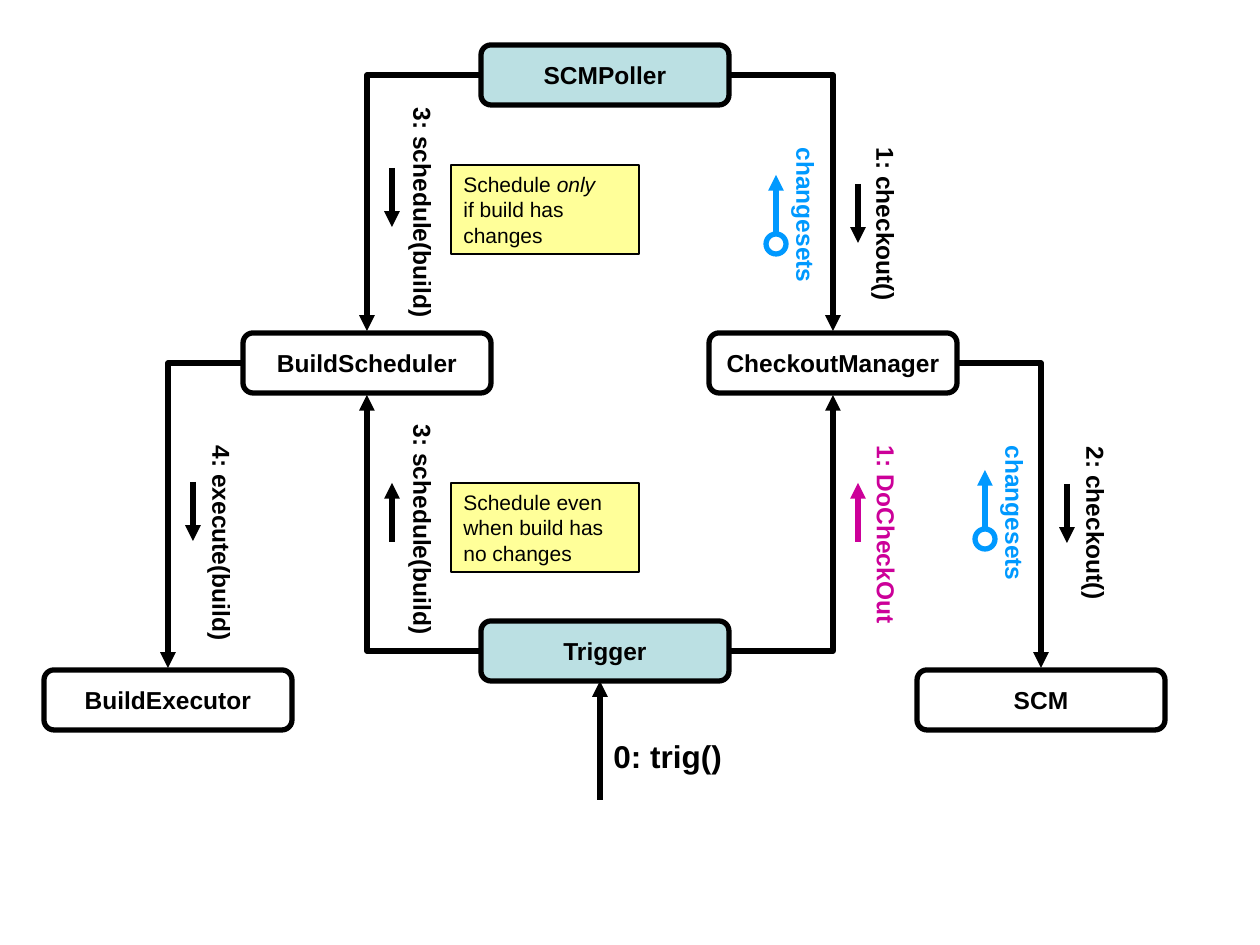
from dataclasses import dataclass
from typing import NamedTuple

from pptx import Presentation
from pptx import util as u
from pptx.dml.color import RGBColor
from pptx.enum import shapes, text
from pptx.oxml import parse_xml
from pptx.oxml.ns import nsdecls, qn

SCALE = u.Inches(1) / 126


@dataclass(frozen=True)
class Theme:
    """Colours, font, type sizes and line widths."""
    font: str = "Arial"
    ink: str = "000000"
    reply: str = "0099FF"
    request: str = "CC0099"
    source: str = "BBE0E3"
    note: str = "FFFF99"
    label_size: int = 14
    note_size: int = 12
    trigger_size: int = 18
    heavy: float = 3
    thin: float = 0.75


class Box(NamedTuple):
    """A rectangle in px."""
    left: int
    top: int
    width: int
    height: int


THEME = Theme()
NODE_WIDTH, NODE_HEIGHT = 248, 60
NODES = {
    "BuildExecutor": (44, 670, None),
    "SCMPoller": (481, 45, THEME.source),
    "BuildScheduler": (243, 333, None),
    "CheckoutManager": (709, 333, None),
    "SCM": (917, 670, None),
    "Trigger": (481, 621, THEME.source),
}
LINKS = [
    ("CheckoutManager", "SCM"),
    ("SCMPoller", "CheckoutManager"),
    ("BuildScheduler", "BuildExecutor"),
    ("SCMPoller", "BuildScheduler"),
    ("Trigger", "BuildScheduler"),
    ("Trigger", "CheckoutManager"),
]
MESSAGES = [
    ("changesets", Box(985, 433, 51, 160), 37, "up", THEME.reply),
    ("2: checkout()", Box(1067, 434, 50, 178), 50, "down", THEME.ink),
    ("4: execute(build)", Box(193, 433, 50, 220), 49, "down", THEME.ink),
    ("1: checkout()", Box(858, 135, 49, 178), 49, "down", THEME.ink),
    ("changesets", Box(776, 135, 51, 160), 40, "up", THEME.reply),
    ("1: DoCheckOut", Box(858, 434, 49, 203), 49, "up", THEME.request),
    ("3: schedule(build)", Box(392, 412, 52, 236), 71, "up", THEME.ink),
    ("3: schedule(build)", Box(392, 95, 52, 236), 73, "down", THEME.ink),
]
NOTES = [
    (Box(451, 483, 188, 89), ["Schedule even", "when build has", "no changes"], ""),
    (Box(451, 165, 188, 89), ["Schedule only", "if build has", "changes"], "only"),
]


def px(*lengths):
    """Turn px into EMU."""
    return [u.Emu(round(length * SCALE)) for length in lengths]


def style_run(run, size, color=THEME.ink, bold=True):
    """Set the font of one run."""
    run.font.name = THEME.font
    run.font.size = u.Pt(size)
    run.font.bold = bold
    run.font.color.rgb = RGBColor.from_string(color)


def add_outline(slide, kind, box, fill=None, color=THEME.ink, width=THEME.heavy):
    """Add a preset shape with a line and an optional fill."""
    shape = slide.shapes.add_shape(kind, *px(*box))
    shape.shadow.inherit = False
    if fill:
        shape.fill.solid()
        shape.fill.fore_color.rgb = RGBColor.from_string(fill)
    else:
        shape.fill.background()
    shape.line.color.rgb = RGBColor.from_string(color)
    shape.line.width = u.Pt(width)
    return shape


def add_arrow(slide, start, end, color=THEME.ink, bent=False):
    """Add an arrow; a bent one runs sideways first, then up or down."""
    kind = shapes.MSO_CONNECTOR.ELBOW if bent else shapes.MSO_CONNECTOR.STRAIGHT
    arrow = slide.shapes.add_connector(kind, *px(*start, *end))
    arrow.line.color.rgb = RGBColor.from_string(color)
    arrow.line.width = u.Pt(THEME.heavy)
    properties = arrow._element.spPr
    if bent:
        properties.find(qn("a:prstGeom")).set("prst", "bentConnector2")
    line = arrow.line._get_or_add_ln()
    line.append(parse_xml(f'<a:tailEnd {nsdecls("a")} type="triangle"/>'))
    properties.append(parse_xml(f'<a:effectLst {nsdecls("a")}/>'))


def add_label(slide, box, words, size, color=THEME.ink):
    """Add a one-line bold label."""
    label = slide.shapes.add_textbox(*px(*box))
    frame = label.text_frame
    frame.text = words
    frame.word_wrap = False
    frame.auto_size = text.MSO_AUTO_SIZE.SHAPE_TO_FIT_TEXT
    style_run(frame.paragraphs[0].runs[0], size, color)
    return label


def add_node(slide, box, name, fill):
    """Add a rounded component box with its name."""
    shape = add_outline(slide, shapes.MSO_SHAPE.ROUNDED_RECTANGLE, box, fill)
    frame = shape.text_frame
    frame.text = name
    frame.word_wrap = False
    frame.vertical_anchor = text.MSO_ANCHOR.MIDDLE
    frame.paragraphs[0].alignment = text.PP_ALIGN.CENTER
    style_run(frame.paragraphs[0].runs[0], THEME.label_size)


def add_link(slide, source, target, gap=2):
    """Link a side of one box to the top or bottom of another."""
    center = target.left + target.width // 2
    to_right = center > source.left + source.width // 2
    below = target.top > source.top
    start_x = source.left + source.width + gap if to_right else source.left - gap
    end_y = target.top - gap if below else target.top + target.height + gap
    start = (start_x, source.top + source.height // 2)
    add_arrow(slide, start, (center, end_y), bent=True)


def add_message(slide, box, words, offset, direction, color):
    """Add an arrow on the box's left edge and a turned label at its right."""
    length, thickness, ring = 59, 42, 20
    top = box.top + offset
    ends = [(box.left, top), (box.left, top + length)]
    if direction == "up":
        ends.reverse()
    if color == THEME.reply:
        circle = Box(box.left - ring // 2, top + length, ring, ring)
        add_outline(slide, shapes.MSO_SHAPE.OVAL, circle, color=color)
    add_arrow(slide, *ends, color)
    center_x = box.left + box.width - thickness // 2
    center_y = box.top + box.height // 2
    flat = Box(center_x - box.height // 2, center_y - thickness // 2, box.height, thickness)
    add_label(slide, flat, words, THEME.label_size, color).rotation = 90


def add_trigger_call(slide, box):
    """Add the incoming call: an upward arrow and its label."""
    add_arrow(slide, (box.left, box.top + box.height), (box.left, box.top))
    label = Box(box.left + 1, box.top + 50, box.width, 50)
    add_label(slide, label, "0: trig()", THEME.trigger_size)


def add_note(slide, box, lines, emphasis):
    """Add a note, with its emphasised word in italics."""
    shape = add_outline(slide, shapes.MSO_SHAPE.RECTANGLE, box, THEME.note, width=THEME.thin)
    frame = shape.text_frame
    frame.text = "\n".join(lines)
    frame.word_wrap = False
    frame.vertical_anchor = text.MSO_ANCHOR.MIDDLE
    for paragraph, words in zip(frame.paragraphs, lines):
        paragraph.alignment = text.PP_ALIGN.LEFT
        if emphasis and words.endswith(emphasis):
            paragraph.runs[0].text = words.removesuffix(emphasis)
            run = paragraph.add_run()
            run.text = emphasis
            run.font.italic = True
        for run in paragraph.runs:
            style_run(run, THEME.note_size, bold=False)


def main():
    """Build the collaboration diagram."""
    presentation = Presentation()
    presentation.slide_width, presentation.slide_height = px(1260, 945)
    slide = presentation.slides.add_slide(presentation.slide_layouts[6])
    boxes = {}
    for name, (left, top, fill) in NODES.items():
        boxes[name] = Box(left, top, NODE_WIDTH, NODE_HEIGHT)
        add_node(slide, boxes[name], name, fill)
    for source, target in LINKS:
        add_link(slide, boxes[source], boxes[target])
    for words, box, offset, direction, color in MESSAGES:
        add_message(slide, box, words, offset, direction, color)
    add_trigger_call(slide, Box(600, 681, 134, 119))
    for box, lines, emphasis in NOTES:
        add_note(slide, box, lines, emphasis)
    presentation.save("out.pptx")


if __name__ == "__main__":
    main()
